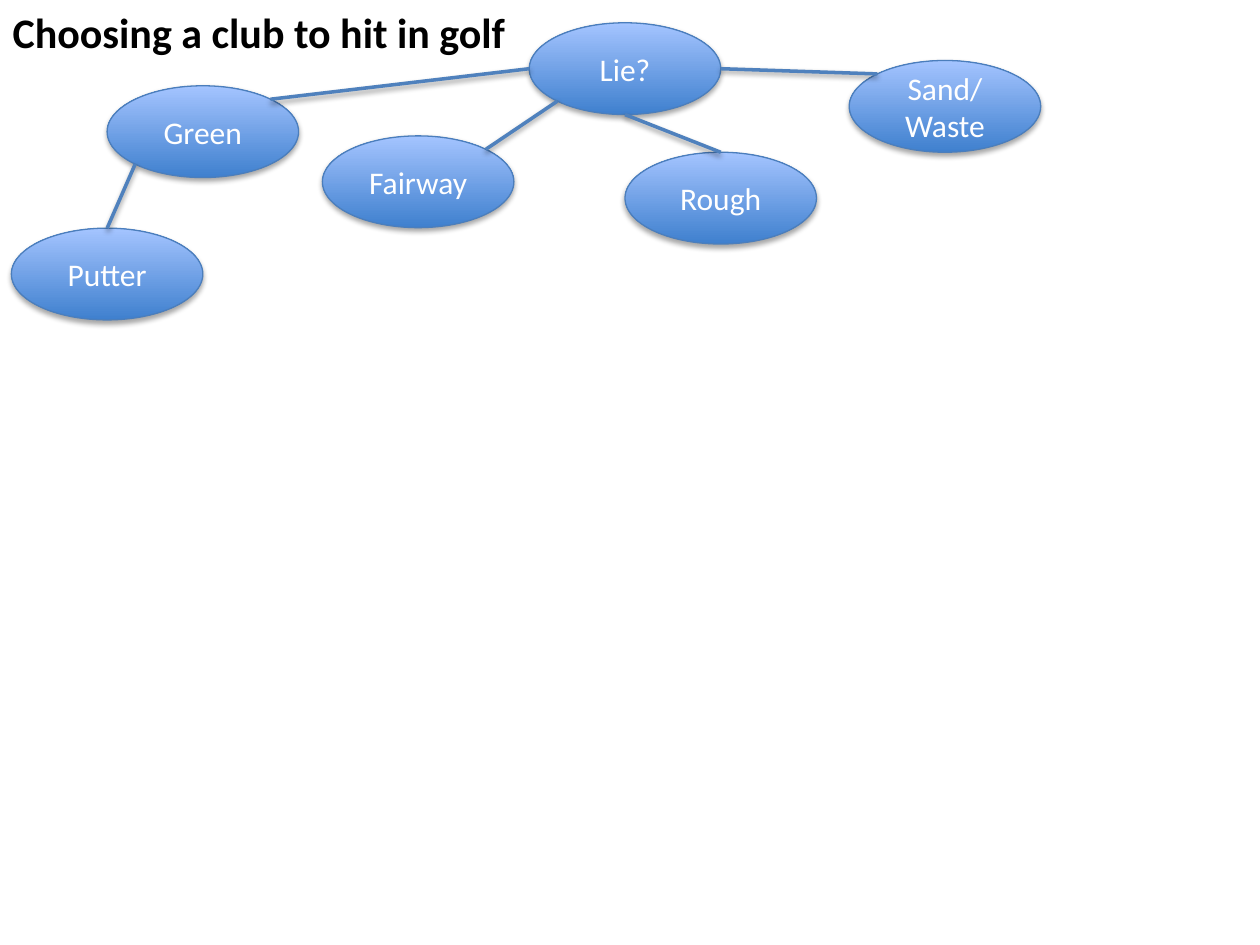
from math import cos, radians, sin

from lxml import etree
from pptx import Presentation
from pptx.dml.color import RGBColor
from pptx.enum.shapes import MSO_CONNECTOR, MSO_SHAPE
from pptx.enum.text import MSO_ANCHOR, MSO_AUTO_SIZE, PP_ALIGN
from pptx.oxml.ns import qn
from pptx.util import Cm, Pt


def color(hex_value):
    return RGBColor.from_string(hex_value)


class TreeSlide:
    font = "Calibri"
    node_width, node_height = 3.86, 1.85

    def __init__(self, prs):
        self.slide = prs.slides.add_slide(prs.slide_layouts[5])

    def label(self, shape, text, size, hex_value, align, anchor, bold=False):
        frame = shape.text_frame
        frame.text = text
        frame.word_wrap = True
        frame.auto_size = MSO_AUTO_SIZE.NONE
        frame.vertical_anchor = anchor
        paragraph = frame.paragraphs[0]
        paragraph.alignment = align
        font = paragraph.runs[0].font
        font.name, font.size, font.bold = self.font, Pt(size), bold
        font.color.rgb = color(hex_value)

    def shadow(self, effects, distance, opacity):
        """Add a soft black shadow straight below."""
        outer = etree.SubElement(
            effects, qn("a:outerShdw"), blurRad=str(Pt(3.1)),
            dist=str(Pt(distance)), dir="5400000", rotWithShape="0")
        black = etree.SubElement(outer, qn("a:srgbClr"), val="000000")
        etree.SubElement(black, qn("a:alpha"), val=str(opacity * 1000))

    def title(self, text, left, top, width, height):
        title = self.slide.shapes.title
        title.left, title.top = Cm(left), Cm(top)
        title.width, title.height = Cm(width), Cm(height)
        self.label(title, text, 24, "000000", PP_ALIGN.LEFT, MSO_ANCHOR.TOP, True)

    def node(self, text, left, top):
        oval = self.slide.shapes.add_shape(
            MSO_SHAPE.OVAL, Cm(left), Cm(top),
            Cm(self.node_width), Cm(self.node_height))
        oval.fill.gradient()
        oval.fill.gradient_angle = 90
        for stop, hex_value in zip(oval.fill.gradient_stops, ("3F80CE", "A4C4FF")):
            stop.color.rgb = color(hex_value)
        oval.line.color.rgb = color("4B7EBC")
        oval.line.width = Pt(0.75)
        oval.shadow.inherit = False
        self.shadow(oval._element.spPr.find(qn("a:effectLst")), 1.8, 35)
        self.label(oval, text, 18, "FFFFFF", PP_ALIGN.CENTER, MSO_ANCHOR.MIDDLE)
        return oval

    def site(self, oval, index):
        """Connection sites run counter-clockwise from the top, 45 degrees apart."""
        angle = radians(90 + 45 * index)
        return (round(oval.left + oval.width / 2 * (1 + cos(angle))),
                round(oval.top + oval.height / 2 * (1 - sin(angle))))

    def branch(self, start, start_site, end, end_site):
        line = self.slide.shapes.add_connector(
            MSO_CONNECTOR.STRAIGHT,
            *self.site(start, start_site), *self.site(end, end_site))
        line.line.color.rgb = color("4F81BD")
        line.line.width = Pt(2)
        effects = etree.SubElement(line._element.spPr, qn("a:effectLst"))
        self.shadow(effects, 1.6, 38)
        # Glue both ends to the ovals
        glue = line._element.find(".//" + qn("p:cNvCxnSpPr"))
        for tag, oval, index in (("a:stCxn", start, start_site),
                                 ("a:endCxn", end, end_site)):
            etree.SubElement(glue, qn(tag), id=str(oval.shape_id), idx=str(index))


prs = Presentation()
prs.slide_width, prs.slide_height = Cm(25.4), Cm(19.05)
tree = TreeSlide(prs)
tree.title("Choosing a club to hit in golf", 0, 0, 10.67, 1.27)

# Question, answers and chosen club
lie = tree.node("Lie?", 10.67, 0.46)
green = tree.node("Green", 2.16, 1.73)
fairway = tree.node("Fairway", 6.5, 2.74)
rough = tree.node("Rough", 12.6, 3.07)
sand = tree.node("Sand/ Waste", 17.12, 1.22)
putter = tree.node("Putter", 0.23, 4.6)

# Branches of the tree
TOP, TOP_LEFT, LEFT, BOTTOM_LEFT, BOTTOM, BOTTOM_RIGHT, RIGHT, TOP_RIGHT = range(8)
for ends in ((green, TOP_RIGHT, lie, LEFT),
             (fairway, TOP_RIGHT, lie, BOTTOM_LEFT),
             (rough, TOP, lie, BOTTOM),
             (sand, TOP_LEFT, lie, RIGHT),
             (putter, TOP, green, BOTTOM_LEFT)):
    tree.branch(*ends)

prs.save("out.pptx")
